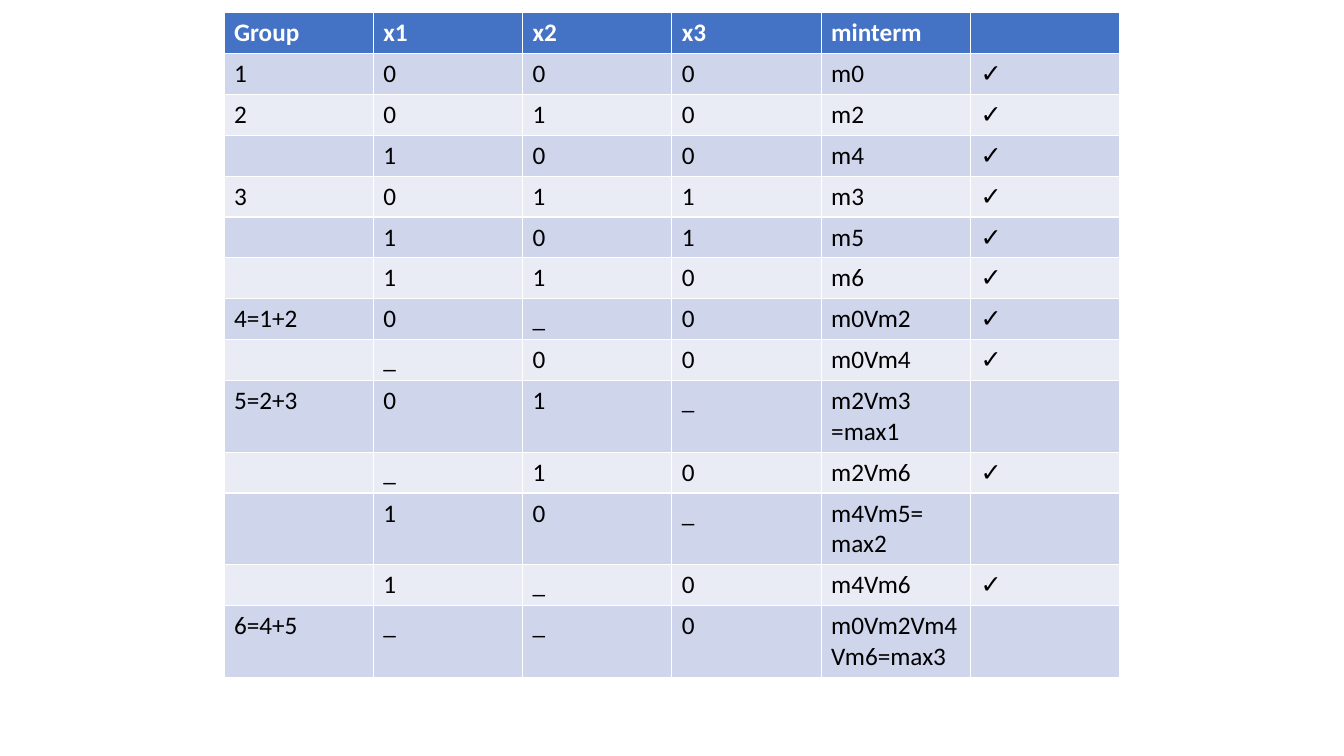
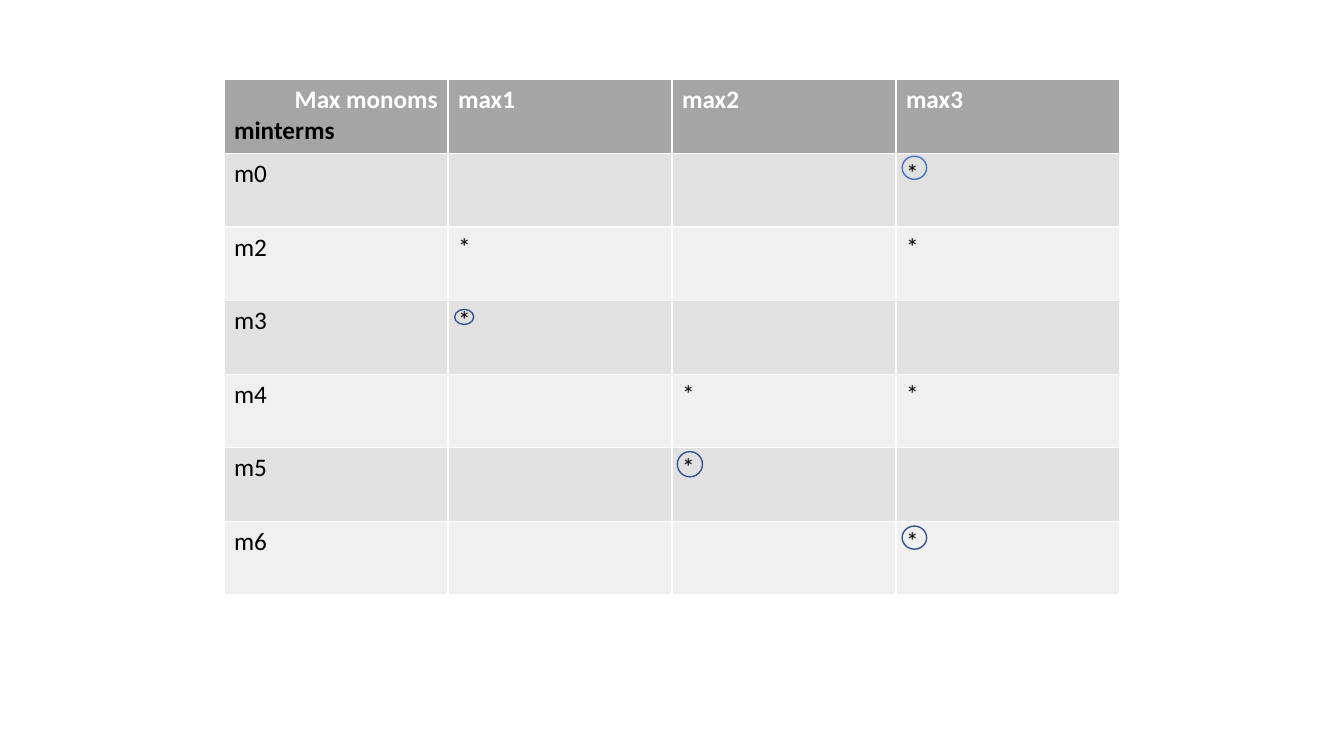
import pptx
import pptx.dml.color
import pptx.enum.shapes
import pptx.enum.text
import pptx.util

Pt = pptx.util.Pt
RGB = pptx.dml.color.RGBColor.from_string
SHAPE = pptx.enum.shapes.MSO_SHAPE


class Theme:
    font = "Calibri"
    size = Pt(18)
    light = RGB("FFFFFF")
    dark = RGB("000000")
    blue = RGB("4472C4")
    navy = RGB("325491")
    blue_fills = (blue, RGB("CFD5EA"), RGB("E9EBF5"))
    gray_fills = (RGB("A5A5A5"), RGB("E1E1E1"), RGB("F0F0F0"))


def style_paragraph(paragraph, color, bold):
    paragraph.font.name = Theme.font
    paragraph.font.size = Theme.size
    paragraph.font.color.rgb = color
    paragraph.font.bold = bold


def add_grid(slide, rows, top, row_height, fills):
    columns = len(rows[0])
    grid = slide.shapes.add_table(
        len(rows), columns, Pt(160), Pt(top), Pt(640), Pt(row_height * len(rows))
    ).table
    header_fill, *band_fills = fills
    for row_index, row in enumerate(rows):
        is_header = row_index == 0
        grid.rows[row_index].height = Pt(row_height)
        for column_index, text in enumerate(row):
            cell = grid.cell(row_index, column_index)
            cell.fill.solid()
            cell.fill.fore_color.rgb = header_fill if is_header else band_fills[(row_index - 1) % 2]
            cell.text = text
            for paragraph in cell.text_frame.paragraphs:
                style_paragraph(paragraph, Theme.light if is_header else Theme.dark, is_header or text == "✓")
    return grid


deck = pptx.Presentation()
deck.slide_width = Pt(960)
deck.slide_height = Pt(540)
blank_layout = deck.slide_layouts[6]

grouping_rows = [
    ("Group", "x1", "x2", "x3", "minterm", ""),
    ("1", "0", "0", "0", "m0", "✓"),
    ("2", "0", "1", "0", "m2", "✓"),
    ("", "1", "0", "0", "m4", "✓"),
    ("3", "0", "1", "1", "m3", "✓"),
    ("", "1", "0", "1", "m5", "✓"),
    ("", "1", "1", "0", "m6", "✓"),
    ("4=1+2", "0", "_", "0", "m0Vm2", "✓"),
    ("", "_", "0", "0", "m0Vm4", "✓"),
    ("5=2+3", "0", "1", "_", "m2Vm3 =max1", ""),
    ("", "_", "1", "0", "m2Vm6", "✓"),
    ("", "1", "0", "_", "m4Vm5= max2", ""),
    ("", "1", "_", "0", "m4Vm6", "✓"),
    ("6=4+5", "_", "_", "0", "m0Vm2Vm4Vm6=max3", ""),
]
grouping_slide = deck.slides.add_slide(blank_layout)
add_grid(grouping_slide, grouping_rows, 9, 29.2, Theme.blue_fills)

cover_rows = [
    ("Max monoms\nminterms", "max1", "max2", "max3"),
    ("m0", "", "", "*"),
    ("m2", "*", "", "*"),
    ("m3", "*", "", ""),
    ("m4", "", "*", "*"),
    ("m5", "", "*", ""),
    ("m6", "", "", "*"),
]
cover_slide = deck.slides.add_slide(blank_layout)
cover_grid = add_grid(cover_slide, cover_rows, 57, 52.56, Theme.gray_fills)
monoms_label, minterms_label = cover_grid.cell(0, 0).text_frame.paragraphs
monoms_label.alignment = pptx.enum.text.PP_ALIGN.RIGHT
minterms_label.font.color.rgb = Theme.dark

essential_marks = [
    (SHAPE.FLOWCHART_CONNECTOR, 644.4, 111.6, 17.5, 16.5, Theme.blue),
    (SHAPE.FLOWCHART_CONNECTOR, 483.8, 322.6, 18, 18, Theme.navy),
    (SHAPE.FLOWCHART_CONNECTOR, 644.4, 375.8, 17.5, 16.5, Theme.navy),
    (SHAPE.OVAL, 324.7, 221, 13.7, 10.8, Theme.navy),
]
for outline, left, top, width, height, color in essential_marks:
    mark = cover_slide.shapes.add_shape(outline, Pt(left), Pt(top), Pt(width), Pt(height))
    mark.shadow.inherit = False
    mark.fill.background()
    mark.line.color.rgb = color
    mark.line.width = Pt(1)

deck.save("out.pptx")
